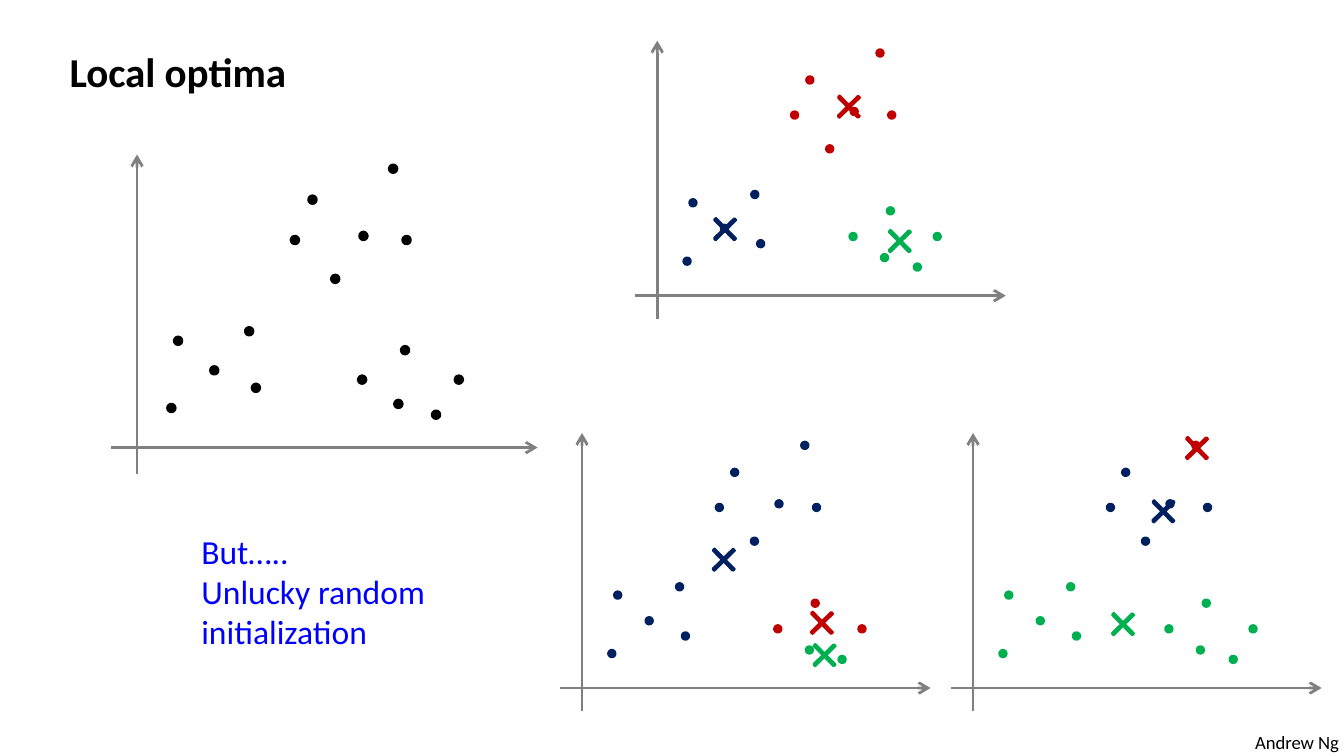
from lxml import etree
from pptx import Presentation
from pptx.dml.color import RGBColor
from pptx.enum.shapes import MSO_CONNECTOR, MSO_SHAPE
from pptx.enum.text import MSO_AUTO_SIZE
from pptx.oxml.ns import qn
from pptx.util import Pt

STRAIGHT = MSO_CONNECTOR.STRAIGHT
OVAL, PLUS = MSO_SHAPE.OVAL, MSO_SHAPE.CROSS
FIT = MSO_AUTO_SIZE.SHAPE_TO_FIT_TEXT

BLACK = RGBColor(0x00, 0x00, 0x00)
GRAY = RGBColor(0x80, 0x80, 0x80)
RED = RGBColor(0xC0, 0x00, 0x00)
GREEN = RGBColor(0x00, 0xB0, 0x50)
NAVY = RGBColor(0x00, 0x20, 0x60)
BLUE = RGBColor(0x00, 0x00, 0xFF)
CLUSTERS = {"K": BLACK, "R": RED, "G": GREEN, "N": NAVY}

# Each text: lines, (left, top, width, height), size, colour, bold, wrap
TEXTS = [
    (["Andrew Ng"], (665.3, 388.1, 60.5, 19.4), 10, BLACK, False, False),
    (["Local optima"], (30.2, 21.6, 653.8, 33.8), 22, BLACK, True, True),
    (["But…..", "Unlucky random initialization"],
     (100.8, 280.8, 191.5, 72.7), 18, BLUE, False, True),
]

# Data points, right of and above the axes' origin, at scale 1
SAMPLES = [
    (18.4, 21.2), (41.4, 41.4), (60.1, 62.3), (63.7, 32), (22, 57.2),
    (84.6, 111.2), (121.3, 113.4), (137.2, 149.4), (94, 132.8),
    (144.4, 111.2), (106.2, 90.4),
    (172.4, 36.4), (143.6, 52.2), (160.2, 17.6), (140, 23.4), (120.6, 36.4),
]
AXES = [((0, -14.4), (0, 157)), ((-13.7, 0), (214.6, 0))]

# Each plot: origin, scale, dot size, cluster of each sample, centroids
PLOTS = [
    ((73.4, 239.8), 1, 3.6, "K" * 16, {}),
    ((352.1, 158.4), 0.87, 3, "NNNNNRRRRRRGGGGG",
     {"R": (454.7, 57.2), "G": (482, 129.2), "N": (388.4, 122.8)}),
    ((311.8, 368.6), 0.87, 3, "NNNNNNNNNNNRRGGR",
     {"R": (440.3, 333.7), "G": (441.7, 351), "N": (387.7, 299.9)}),
    ((521.3, 368.6), 0.87, 3, "GGGGGNNRNNNGGGGG",
     {"R": (641.2, 240.1), "G": (601.6, 334.4), "N": (623.2, 274)}),
]
CENTROID_SIZE = 15.1


def add_marker(shapes, kind, center, size, color, line_width):
    x, y = center
    marker = shapes.add_shape(kind, Pt(x - size / 2), Pt(y - size / 2),
                              Pt(size), Pt(size))
    marker.shadow.inherit = False
    marker.fill.solid()
    marker.fill.fore_color.rgb = color
    marker.line.color.rgb = color
    marker.line.width = Pt(line_width)
    return marker


def add_axis(shapes, start, end):
    axis = shapes.add_connector(STRAIGHT, *(Pt(v) for v in (*start, *end)))
    axis.line.color.rgb = GRAY
    axis.line.width = Pt(1.5)
    etree.SubElement(axis.line._get_or_add_ln(), qn("a:tailEnd"), type="arrow")
    etree.SubElement(axis._element.spPr, qn("a:effectLst"))


def add_plot(slide, origin, scale, dot_size, clusters, centroids):
    shapes = slide.shapes.add_group_shape().shapes

    def place(point):
        """Turn plot coordinates into slide coordinates."""
        return origin[0] + scale * point[0], origin[1] - scale * point[1]

    for cluster, center in centroids.items():
        centroid = add_marker(shapes, PLUS, center, CENTROID_SIZE,
                              CLUSTERS[cluster], 1.5)
        centroid.adjustments[0] = 0.466
        centroid.rotation = 45.6
    for start, end in AXES:
        add_axis(shapes, place(start), place(end))
    for sample, cluster in zip(SAMPLES, clusters):
        add_marker(shapes, OVAL, place(sample), dot_size, CLUSTERS[cluster], 2)


def add_text(slide, lines, box, size, color, bold, wrap):
    frame = slide.shapes.add_textbox(*(Pt(v) for v in box)).text_frame
    frame.word_wrap = wrap
    frame.auto_size = FIT
    frame.text = "\n".join(lines)
    for paragraph in frame.paragraphs:
        for run in paragraph.runs:
            run.font.name = "Calibri"
            run.font.size = Pt(size)
            run.font.bold = bold
            run.font.color.rgb = color


def main():
    prs = Presentation()
    prs.slide_width, prs.slide_height = Pt(720), Pt(405)
    slide = prs.slides.add_slide(prs.slide_layouts[6])
    for text in TEXTS:
        add_text(slide, *text)
    for plot in PLOTS:
        add_plot(slide, *plot)
    prs.save("out.pptx")


if __name__ == "__main__":
    main()
